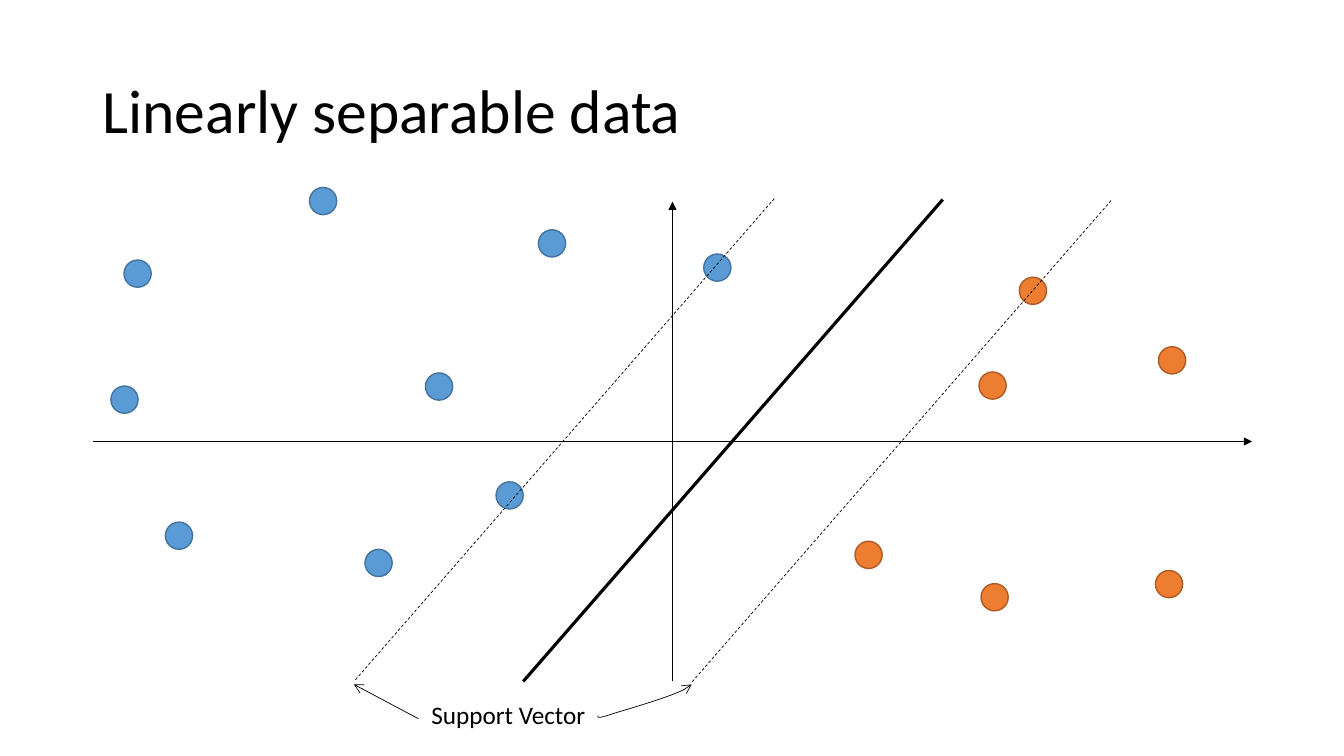
from dataclasses import dataclass
from typing import NamedTuple

from lxml.etree import SubElement
from pptx import Presentation
from pptx.dml.color import RGBColor
from pptx.enum.dml import MSO_LINE_DASH_STYLE as Dash
from pptx.enum.shapes import MSO_CONNECTOR_TYPE as Connector, MSO_SHAPE as Shape
from pptx.enum.text import MSO_ANCHOR as Anchor, MSO_AUTO_SIZE as AutoSize
from pptx.oxml.ns import qn
from pptx.util import Emu, Pt

PX = 9144  # 100 px to the inch


@dataclass(frozen=True)
class Theme:
    font: str = "Calibri"
    ink: str = "000000"
    left_fill: str = "5B9BD5"
    left_edge: str = "43739E"
    right_fill: str = "ED7D31"
    right_edge: str = "AF5C24"
    title_size: float = 44
    label_size: float = 18
    thin: float = 0.5
    dot_edge: float = 1
    thick: float = 2.25


class Point(NamedTuple):
    x: float
    y: float


class DataClass(NamedTuple):
    fill: str
    edge: str
    dots: list[Point]  # top left corners


class Stroke(NamedTuple):
    start: Point
    end: Point
    width: float
    dash: Dash | None = None
    head: str | None = None


THEME = Theme()
DOT = 27

CLASSES = [
    DataClass(THEME.left_fill, THEME.left_edge, [
        Point(123, 258), Point(307, 186), Point(110, 383), Point(362, 545), Point(422, 370),
        Point(164, 518), Point(534, 228), Point(492, 478), Point(698, 252)]),
    DataClass(THEME.right_fill, THEME.right_edge, [
        Point(971, 369), Point(1011, 275), Point(848, 537), Point(1149, 344),
        Point(973, 579), Point(1146, 566)]),
]

AXES = [
    Stroke(Point(92, 438), Point(1242, 438), THEME.thin, head="triangle"),
    Stroke(Point(667, 676), Point(667, 200), THEME.thin, head="triangle"),
]

# The margins run parallel to the boundary, one on each side
BOUNDARY = Stroke(Point(935, 198), Point(519, 676), THEME.thick)
MARGIN_SHIFTS = [Point(-167, -1), Point(167, 1)]

# Pointers from the label to the margins; the right one is two cubic curves
LEFT_POINTER = [Point(415, 713), Point(351, 679)]
RIGHT_CURVES = [
    (Point(593, 710), Point(593, 712), Point(593, 713), Point(608, 708)),
    (Point(608, 708), Point(624, 703), Point(681, 687), Point(686, 679)),
]


def emu(px: float) -> Emu:
    return Emu(round(px * PX))


def style_line(line, color: str, width: float, head: str | None = None) -> None:
    line.color.rgb = RGBColor.from_string(color)
    line.width = Pt(width)
    if head:
        SubElement(line._get_or_add_ln(), qn("a:tailEnd"), type=head)


def draw_stroke(shapes, stroke: Stroke) -> None:
    (x1, y1), (x2, y2) = stroke.start, stroke.end
    connector = shapes.add_connector(Connector.STRAIGHT, emu(x1), emu(y1), emu(x2), emu(y2))
    if stroke.dash:
        connector.line.dash_style = stroke.dash
    style_line(connector.line, THEME.ink, stroke.width, stroke.head)
    SubElement(connector._element.spPr, qn("a:effectLst"))


def draw_dots(shapes, group: DataClass) -> None:
    for corner in group.dots:
        dot = shapes.add_shape(Shape.OVAL, emu(corner.x), emu(corner.y), emu(DOT), emu(DOT))
        dot.shadow.inherit = False
        dot.fill.solid()
        dot.fill.fore_color.rgb = RGBColor.from_string(group.fill)
        style_line(dot.line, group.edge, THEME.dot_edge)


def curve_points(curve: tuple[Point, Point, Point, Point], steps: int = 12) -> list[Point]:
    points = []
    for step in range(steps + 1):
        t = step / steps
        weights = ((1 - t) ** 3, 3 * t * (1 - t) ** 2, 3 * t ** 2 * (1 - t), t ** 3)
        points.append(Point(sum(w * p.x for w, p in zip(weights, curve)),
                            sum(w * p.y for w, p in zip(weights, curve))))
    return points


def draw_pointer(shapes, points: list[Point]) -> None:
    start, *rest = [(emu(p.x), emu(p.y)) for p in points]
    builder = shapes.build_freeform(*start)
    builder.add_line_segments(rest, close=False)
    pointer = builder.convert_to_shape()
    pointer.shadow.inherit = False
    pointer.fill.background()
    style_line(pointer.line, THEME.ink, THEME.thin, "arrow")


def draw_text(shapes, text: str, corner: Point, extent: Point, size: float):
    box = shapes.add_textbox(emu(corner.x), emu(corner.y), emu(extent.x), emu(extent.y))
    frame = box.text_frame
    frame.text = text
    font = frame.paragraphs[0].runs[0].font
    font.name = THEME.font
    font.size = Pt(size)
    font.color.rgb = RGBColor.from_string(THEME.ink)
    return frame


def main() -> None:
    deck = Presentation()
    deck.slide_width, deck.slide_height = emu(1333), emu(750)
    shapes = deck.slides.add_slide(deck.slide_layouts[6]).shapes

    # Title
    title = draw_text(shapes, "Linearly separable data",
                      Point(92, 40), Point(1150, 145), THEME.title_size)
    title.word_wrap = True
    title.vertical_anchor = Anchor.MIDDLE
    title.paragraphs[0].line_spacing = 0.9

    # Axes and data
    for axis in AXES:
        draw_stroke(shapes, axis)
    for group in CLASSES:
        draw_dots(shapes, group)

    # Boundary and margins
    draw_stroke(shapes, BOUNDARY)
    for shift in MARGIN_SHIFTS:
        start, end = (Point(p.x + shift.x, p.y + shift.y)
                      for p in (BOUNDARY.start, BOUNDARY.end))
        draw_stroke(shapes, Stroke(start, end, THEME.thin, Dash.DASH))

    # Label and pointers
    label = draw_text(shapes, "Support Vector",
                      Point(418, 689), Point(175, 40), THEME.label_size)
    label.word_wrap = False
    label.auto_size = AutoSize.SHAPE_TO_FIT_TEXT
    first, second = map(curve_points, RIGHT_CURVES)
    draw_pointer(shapes, first + second[1:])
    draw_pointer(shapes, LEFT_POINTER)

    deck.save("out.pptx")


if __name__ == "__main__":
    main()
